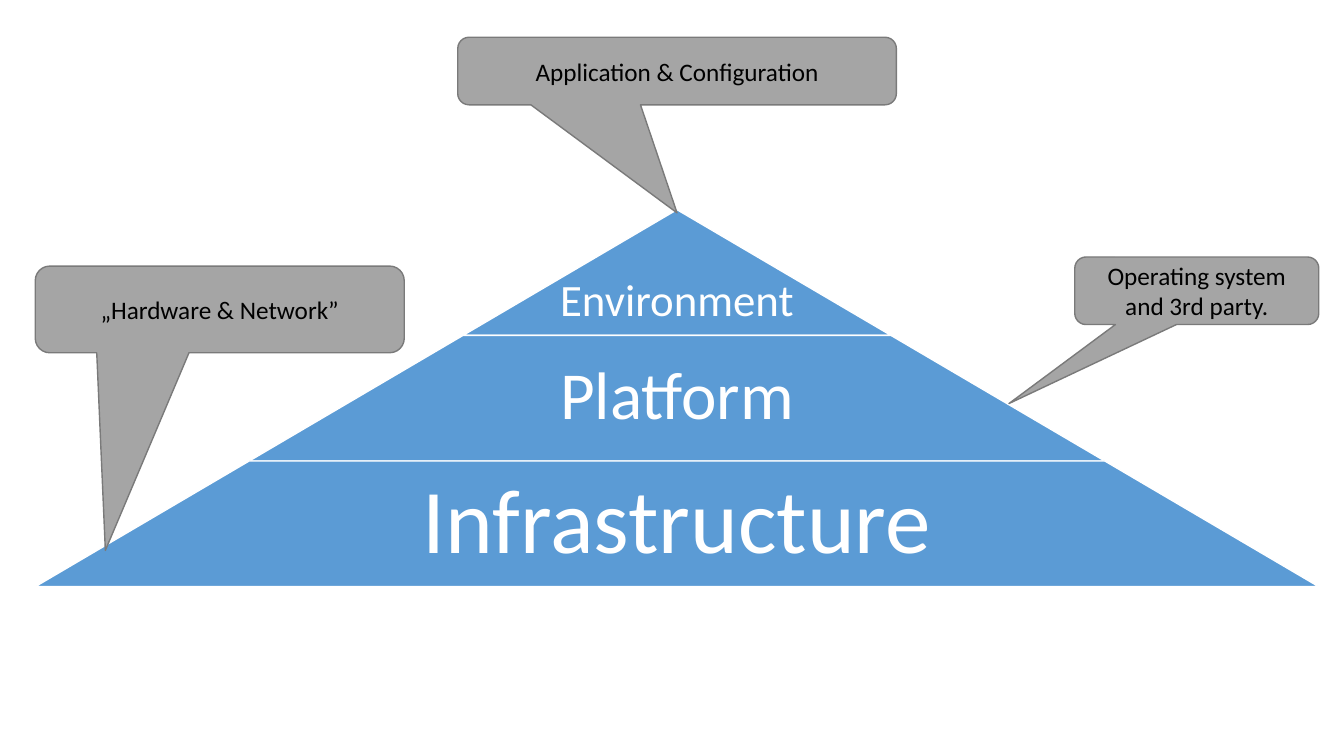
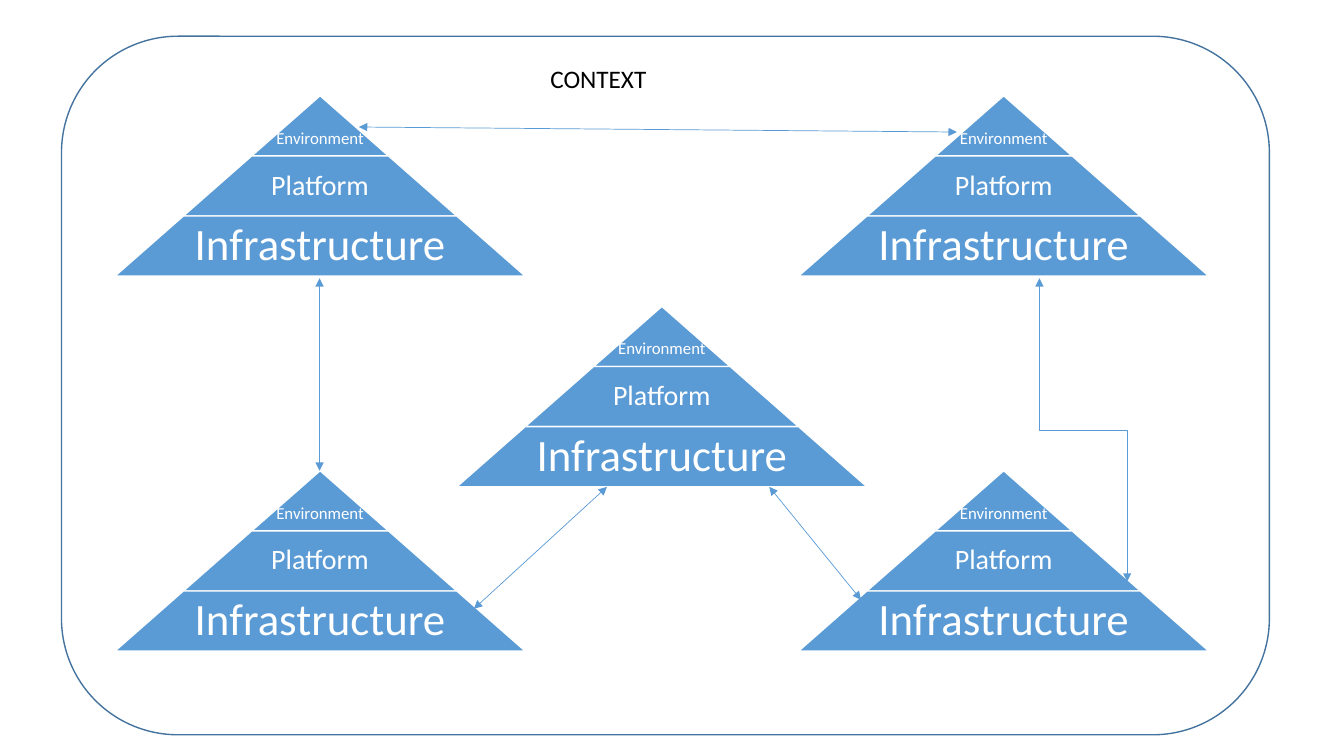
from lxml.etree import SubElement
from pptx import Presentation
from pptx.dml.color import RGBColor
from pptx.enum.shapes import MSO_CONNECTOR, MSO_SHAPE
from pptx.enum.text import MSO_ANCHOR, PP_ALIGN
from pptx.oxml.ns import qn
from pptx.util import Pt

PX = 9144  # 100 px to the inch
BLUE, EDGE = "5B9BD5", "43739E"
GREY, RIM = "A5A5A5", "7A7A7A"
WHITE, BLACK = "FFFFFF", "000000"
FONT = "Calibri"
TIERS = ("Environment", "Platform", "Infrastructure")


def emu(*vals):
    return [round(v * PX) for v in vals]


def rgb(code):
    return RGBColor.from_string(code)


def write(shape, text, size, color, align=PP_ALIGN.CENTER):
    para = shape.text_frame.paragraphs[0]
    para.alignment = align
    run = para.add_run()
    run.text = text
    run.font.name = FONT
    run.font.size = Pt(size)
    run.font.color.rgb = rgb(color)
    return para


def add_form(shapes, kind, box, fill, line, adjs=()):
    """Add a preset shape; a fill of None leaves it open."""
    form = shapes.add_shape(kind, *emu(*box))
    form.shadow.inherit = False
    if fill:
        form.fill.solid()
        form.fill.fore_color.rgb = rgb(fill)
    else:
        form.fill.background()
    form.line.color.rgb = rgb(line)
    form.line.width = Pt(1)
    for i, adj in enumerate(adjs):
        form.adjustments[i] = adj
    return form


def add_label(shapes, box, text, size, top):
    label = shapes.add_textbox(*emu(*box))
    frame = label.text_frame
    frame.word_wrap = True
    frame.vertical_anchor = MSO_ANCHOR.MIDDLE
    frame.margin_left, frame.margin_right, frame.margin_bottom = emu(4, 4, 4)
    frame.margin_top = emu(top)[0]
    write(label, text, size, WHITE).line_spacing = 0.9


def add_pyramid(slide, x, y, w, h, sizes):
    """Stack three equal tiers, each one wider than the one above."""
    shapes = slide.shapes.add_group_shape().shapes
    high = h / len(TIERS)
    for i, (text, size) in enumerate(zip(TIERS, sizes)):
        wide = w * (i + 1) / len(TIERS)
        left, top = x + (w - wide) / 2, y + i * high
        add_form(shapes, MSO_SHAPE.TRAPEZOID, (left, top, wide, high),
                 BLUE, WHITE, [w / h / 2])
        # The peak is too narrow for text in its upper half.
        span = 0.65 * wide if i else wide
        add_label(shapes, (x + (w - span) / 2, top, span, high),
                  text, size, 4 if i else high / 2)


def add_callout(slide, box, tip, text):
    form = add_form(slide.shapes, MSO_SHAPE.ROUNDED_RECTANGULAR_CALLOUT,
                    box, GREY, RIM, tip)
    form.text_frame.word_wrap = True
    form.text_frame.vertical_anchor = MSO_ANCHOR.MIDDLE
    write(form, text, 18, BLACK)


def add_arrow(slide, ends, kind=MSO_CONNECTOR.STRAIGHT):
    """Add a thin line with a head at both ends."""
    arrow = slide.shapes.add_connector(kind, *emu(*ends))
    arrow.line.color.rgb = rgb(BLUE)
    arrow.line.width = Pt(0.5)
    props = arrow._element.spPr
    for tag in ("a:headEnd", "a:tailEnd"):
        SubElement(props.find(qn("a:ln")), qn(tag), type="triangle")
    SubElement(props, qn("a:effectLst"))
    return arrow


def add_bend(slide, x1, y1, x2, y2):
    """Add an elbow that leaves and arrives upright: a quarter-turned one."""
    cx, cy = (x1 + x2) / 2, (y1 + y2) / 2
    dx, dy = (x2 - x1) / 2, (y2 - y1) / 2
    bend = add_arrow(slide, (cx + dy, cy - dx, cx - dy, cy + dx),
                     MSO_CONNECTOR.ELBOW)
    bend._element.spPr.find(qn("a:xfrm")).set("rot", str(270 * 60000))


def draw_layers(slide):
    add_pyramid(slide, 35, 208, 1273, 374, (32, 48, 65))
    for box, tip, text in (
        ((35, 264, 366, 86), (-0.31, 2.78), "„Hardware & Network”"),
        ((1066, 255, 242, 67), (-0.77, 1.67),
         "Operating system and 3rd party."),
        ((454, 37, 435, 67), (0, 2.1), "Application & Configuration"),
    ):
        add_callout(slide, box, tip, text)


def draw_context(slide):
    for x, y in ((114, 467), (792, 467), (453, 304), (114, 95), (792, 95)):
        add_pyramid(slide, x, y, 407, 179, (12, 20, 32))
    for ends in ((470, 604, 602, 483), (854, 595, 763, 483),
                 (317, 467, 317, 276), (356, 126, 949, 131)):
        add_arrow(slide, ends)
    add_bend(slide, 1031, 276, 1118, 577)
    add_form(slide.shapes, MSO_SHAPE.ROUNDED_RECTANGLE,
             (61, 36, 1198, 693), None, EDGE)
    title = slide.shapes.add_textbox(*emu(536, 58, 116, 40))
    title.text_frame.word_wrap = False
    write(title, "CONTEXT", 18, BLACK, PP_ALIGN.LEFT)


def main():
    deck = Presentation()
    deck.slide_width, deck.slide_height = emu(1333, 750)
    blank = deck.slide_layouts[6]
    for draw in (draw_layers, draw_context):
        draw(deck.slides.add_slide(blank))
    deck.save("out.pptx")


if __name__ == "__main__":
    main()
